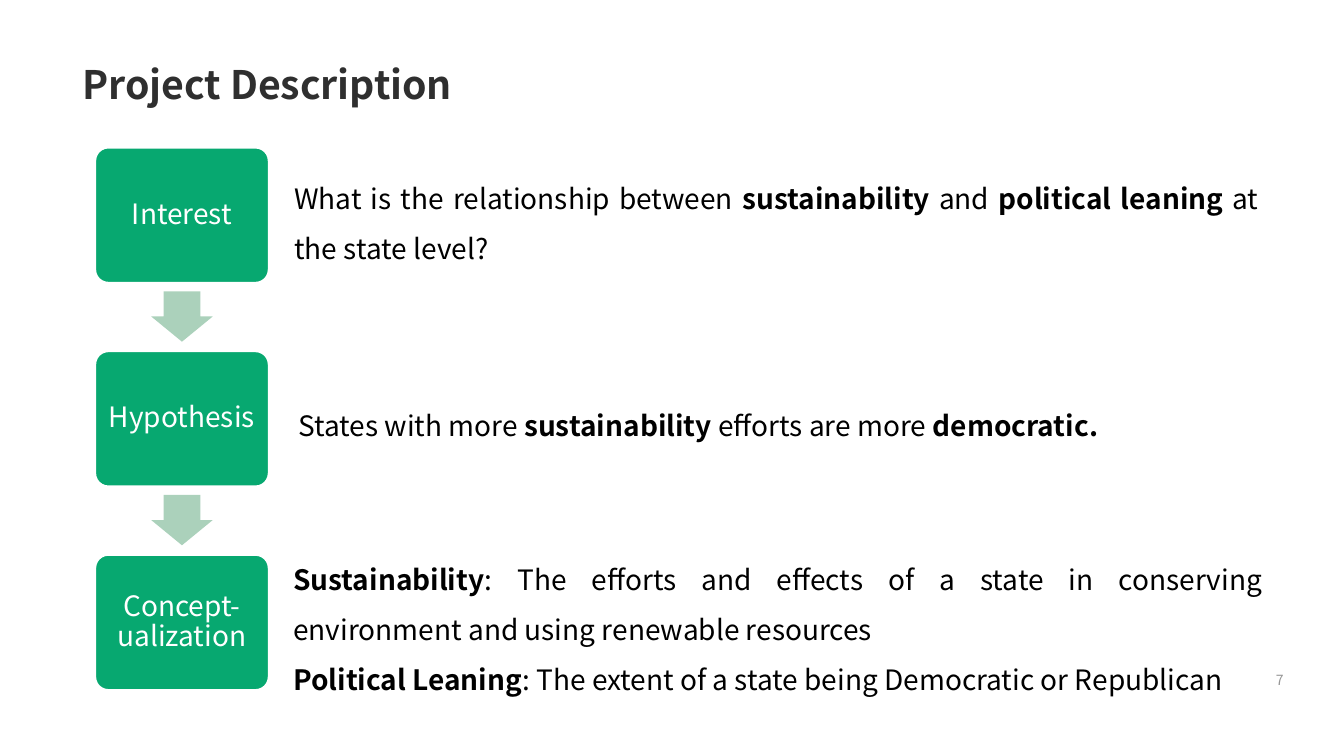
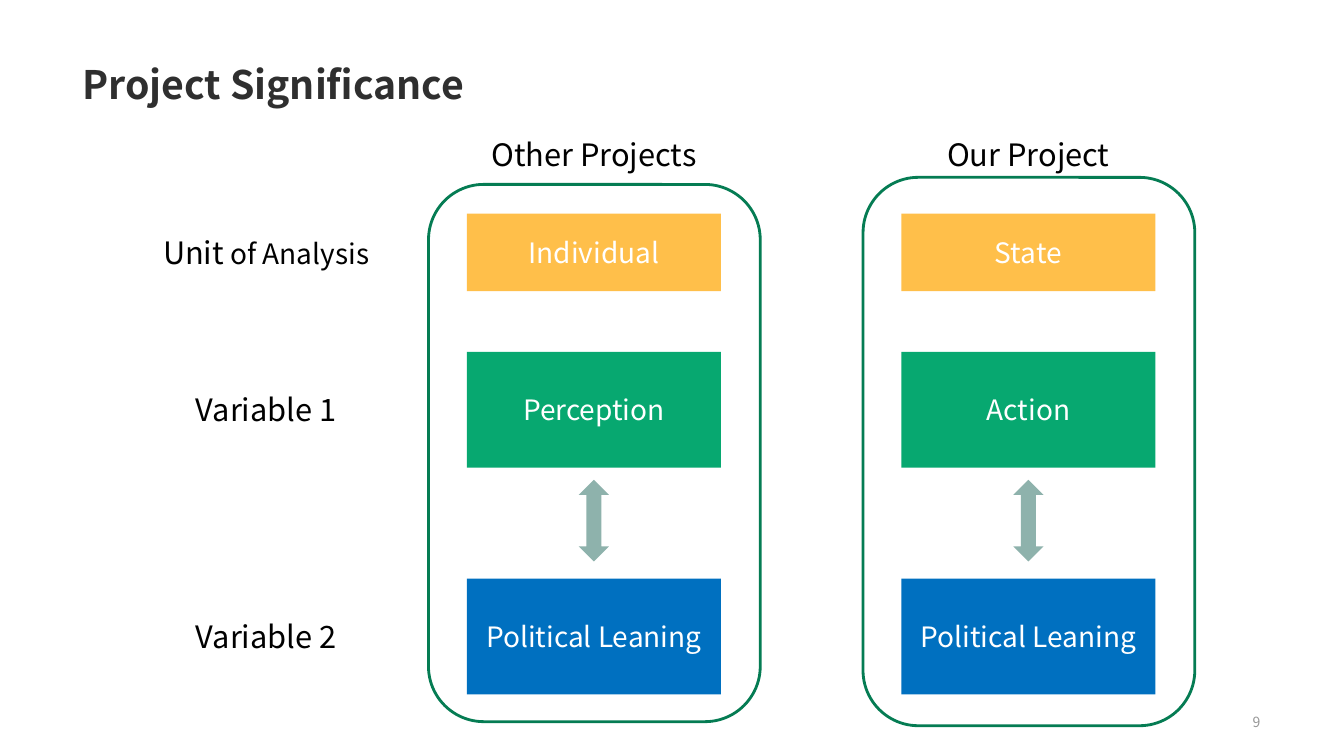
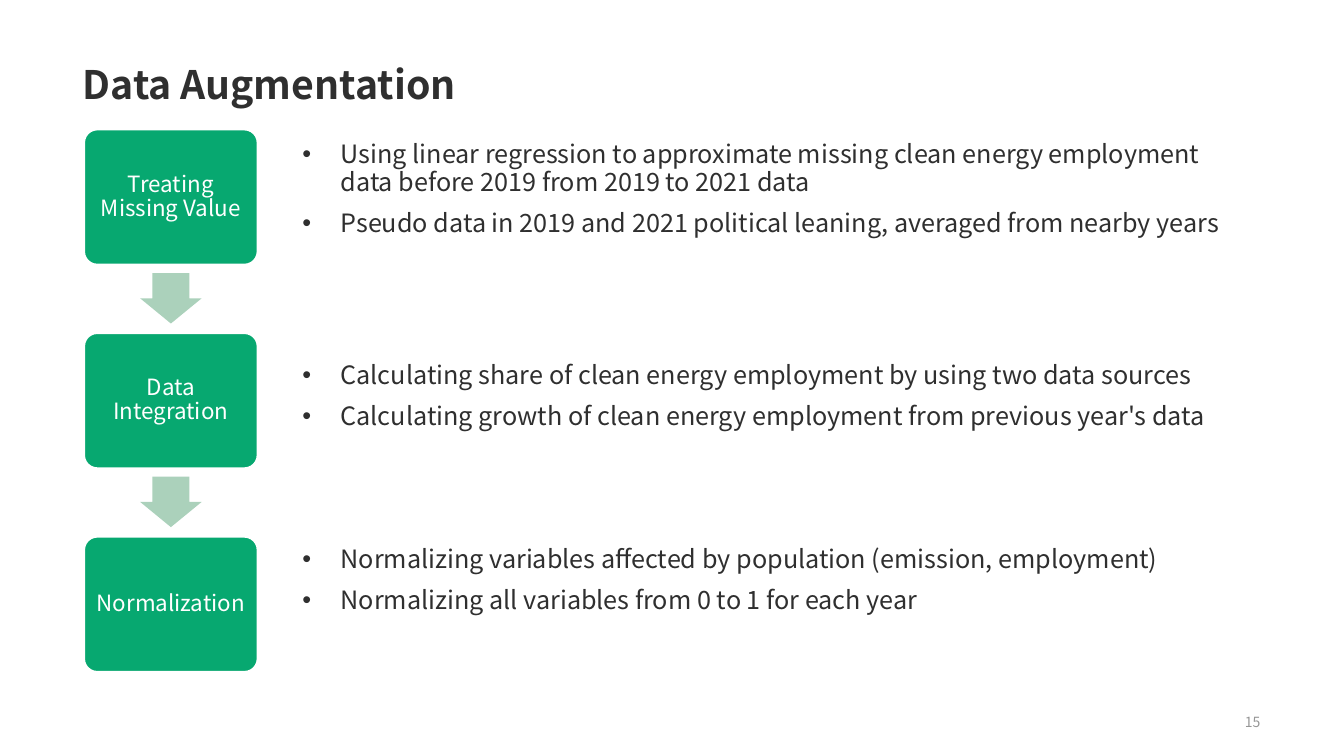
"""Build three project slides: description, significance and data augmentation."""
from pptx import Presentation
from pptx import util as u
from pptx.dml.color import RGBColor
from pptx.enum import shapes, text
from pptx.oxml import parse_xml
from pptx.oxml.ns import nsdecls

FONT = "Noto Sans CJK SC"
WHITE = RGBColor(0xFF, 0xFF, 0xFF)
BLACK = RGBColor(0x00, 0x00, 0x00)
INK = RGBColor(0x2F, 0x2F, 0x2F)
GRAY = RGBColor(0x96, 0x96, 0x96)
GREEN = RGBColor(0x07, 0xA8, 0x70)
DARK_GREEN = RGBColor(0x05, 0x7C, 0x53)
PALE_GREEN = RGBColor(0xAB, 0xD1, 0xBB)
SAGE = RGBColor(0x8E, 0xB2, 0xAC)
YELLOW = RGBColor(0xFF, 0xBF, 0x4A)
BLUE = RGBColor(0x00, 0x70, 0xC0)

KIND = shapes.MSO_SHAPE
ALIGN = text.PP_ALIGN
ANCHOR = text.MSO_ANCHOR


def draw(page, kind, at, fill=None, line=None):
    """Add a preset shape, or a text box when kind is None."""
    place = [u.Inches(length) for length in at]
    if kind is None:
        return page.shapes.add_textbox(*place)
    shape = page.shapes.add_shape(kind, *place)
    shape.shadow.inherit = False
    if fill is None:
        shape.fill.background()
    else:
        shape.fill.solid()
        shape.fill.fore_color.rgb = fill
    if line is None:
        shape.line.fill.background()
    else:
        shape.line.color.rgb = line
        shape.line.width = u.Pt(2)
    return shape


def write(box, *paragraphs, size=20, color=BLACK, bold=False, align=ALIGN.LEFT,
          anchor=ANCHOR.TOP, spacing=1.0, before=0, indent=0, bullet=False,
          margin=0.1, marked_bold=True, marked_size=None):
    """Fill a box with paragraphs; text between ** marks takes the marked format."""
    frame = box.text_frame
    frame.word_wrap = True
    frame.auto_size = text.MSO_AUTO_SIZE.NONE
    frame.vertical_anchor = anchor
    frame.margin_left = frame.margin_right = u.Inches(margin)
    frame.margin_top = frame.margin_bottom = u.Inches(0.05)
    for index, content in enumerate(paragraphs):
        para = frame.add_paragraph() if index else frame.paragraphs[0]
        para.alignment = align
        para.line_spacing = spacing
        para.space_before = u.Pt(before)
        props = para._p.get_or_add_pPr()
        props.set("marL", str(u.Inches(indent)))
        props.set("indent", str(u.Inches(-0.38 if bullet else 0)))
        if bullet:
            props.append(parse_xml(f'<a:buFont {nsdecls("a")} typeface="Arial"/>'))
            props.append(parse_xml(f'<a:buChar {nsdecls("a")} char="•"/>'))
        for position, piece in enumerate(content.split("**")):
            if not piece:
                continue
            marked = position % 2 == 1
            span = para.add_run()
            span.text = piece
            span.font.name = FONT
            span.font.size = u.Pt(marked_size if marked and marked_size else size)
            span.font.bold = marked_bold if marked else bold
            span.font.color.rgb = color


deck = Presentation()
deck.slide_width, deck.slide_height = u.Inches(13.33), u.Inches(7.5)

pages = []
for title, number, left, top in (
    ("Project Description", "7", 9.92, 6.63),
    ("Project Significance", "9", 9.69, 7.04),
    ("Data Augmentation", "15", 9.69, 7.04),
):
    page = deck.slides.add_slide(deck.slide_layouts[5])
    heading = page.shapes.title
    heading.left, heading.top = u.Inches(0.72), u.Inches(0)
    heading.width, heading.height = u.Inches(11.88), u.Inches(1.12)
    write(heading, title, size=28, color=INK, bold=True, anchor=ANCHOR.BOTTOM, spacing=0.9)
    write(draw(page, None, (left, top, 2.91, 0.24)), number, size=10, color=GRAY,
          align=ALIGN.RIGHT, anchor=ANCHOR.MIDDLE)
    pages.append(page)
description, significance, augmentation = pages

for page, left, top, size, steps in (
    (description, 0.94, 1.46, 20, ("Interest", "Hypothesis", "Concept-ualization")),
    (augmentation, 0.83, 1.28, 16, ("Treating Missing Value", "Data Integration", "Normalization")),
):
    for index, step in enumerate(steps):
        step_top = top + index * 2.02
        card = draw(page, KIND.ROUNDED_RECTANGLE, (left, step_top, 1.73, 1.35), GREEN, WHITE)
        card.adjustments[0] = 0.1
        write(card, step, size=size, color=WHITE, align=ALIGN.CENTER,
              anchor=ANCHOR.MIDDLE, spacing=0.9, margin=0.08)
        if index:
            arrow = draw(page, KIND.DOWN_ARROW, (left + 0.56, step_top - 0.59, 0.61, 0.5), PALE_GREEN)
            arrow.adjustments[0] = 0.6

for at, paragraphs in (
    ((2.7, 1.58, 9.88, 1.05),
     ["What is the relationship between **sustainability** and **political leaning** at the state level?"]),
    ((2.74, 3.84, 9.88, 0.54),
     ["States with more **sustainability** efforts are more **democratic.**"]),
    ((2.69, 5.36, 9.93, 1.55),
     ["**Sustainability**: The efforts and effects of a state in conserving environment and using renewable resources",
      "**Political Leaning**: The extent of a state being Democratic or Republican"]),
):
    write(draw(description, None, at), *paragraphs, align=ALIGN.JUSTIFY, spacing=1.5, indent=0.12)

for center, name, outline_top, outline_height, unit, variable in (
    (5.89, "Other Projects", 1.83, 5.33, "Individual", "Perception"),
    (10.2, "Our Project", 1.76, 5.44, "State", "Action"),
):
    for top, height, fill, label in (
        (2.12, 0.77, YELLOW, unit),
        (3.49, 1.15, GREEN, variable),
        (5.74, 1.15, BLUE, "Political Leaning"),
    ):
        block = draw(significance, KIND.RECTANGLE, (center - 1.26, top, 2.52, height), fill)
        write(block, label, color=WHITE, align=ALIGN.CENTER, anchor=ANCHOR.MIDDLE)
    draw(significance, KIND.ROUNDED_RECTANGLE,
         (center - 1.64, outline_top, 3.29, outline_height), line=DARK_GREEN)
    draw(significance, KIND.UP_DOWN_ARROW, (center - 0.15, 4.76, 0.3, 0.81), SAGE)
    write(draw(significance, None, (center - 1.5, 1.29, 3, 0.47)), name, size=22,
          align=ALIGN.CENTER, anchor=ANCHOR.MIDDLE)

for top, label in ((2.27, "Unit** of Analysis**"), (3.83, "Variable 1"), (6.08, "Variable 2")):
    write(draw(significance, None, (0.8, top, 3.68, 0.47)), label, size=22,
          align=ALIGN.CENTER, marked_bold=False, marked_size=20)

for top, width, points in (
    (1.36, 9.72,
     ("Using linear regression to approximate missing clean energy employment data before 2019 from 2019 to 2021 data",
      "Pseudo data in 2019 and 2021 political leaning, averaged from nearby years")),
    (3.55, 10,
     ("Calculating share of clean energy employment by using two data sources",
      "Calculating growth of clean energy employment from previous year's data")),
    (5.37, 10,
     ("Normalizing variables affected by population (emission, employment)",
      "Normalizing all variables from 0 to 1 for each year")),
):
    write(draw(augmentation, None, (2.78, top, width, 0.75)), *points, size=18, color=INK,
          spacing=0.9, before=10, indent=0.5, bullet=True)

deck.save("out.pptx")
